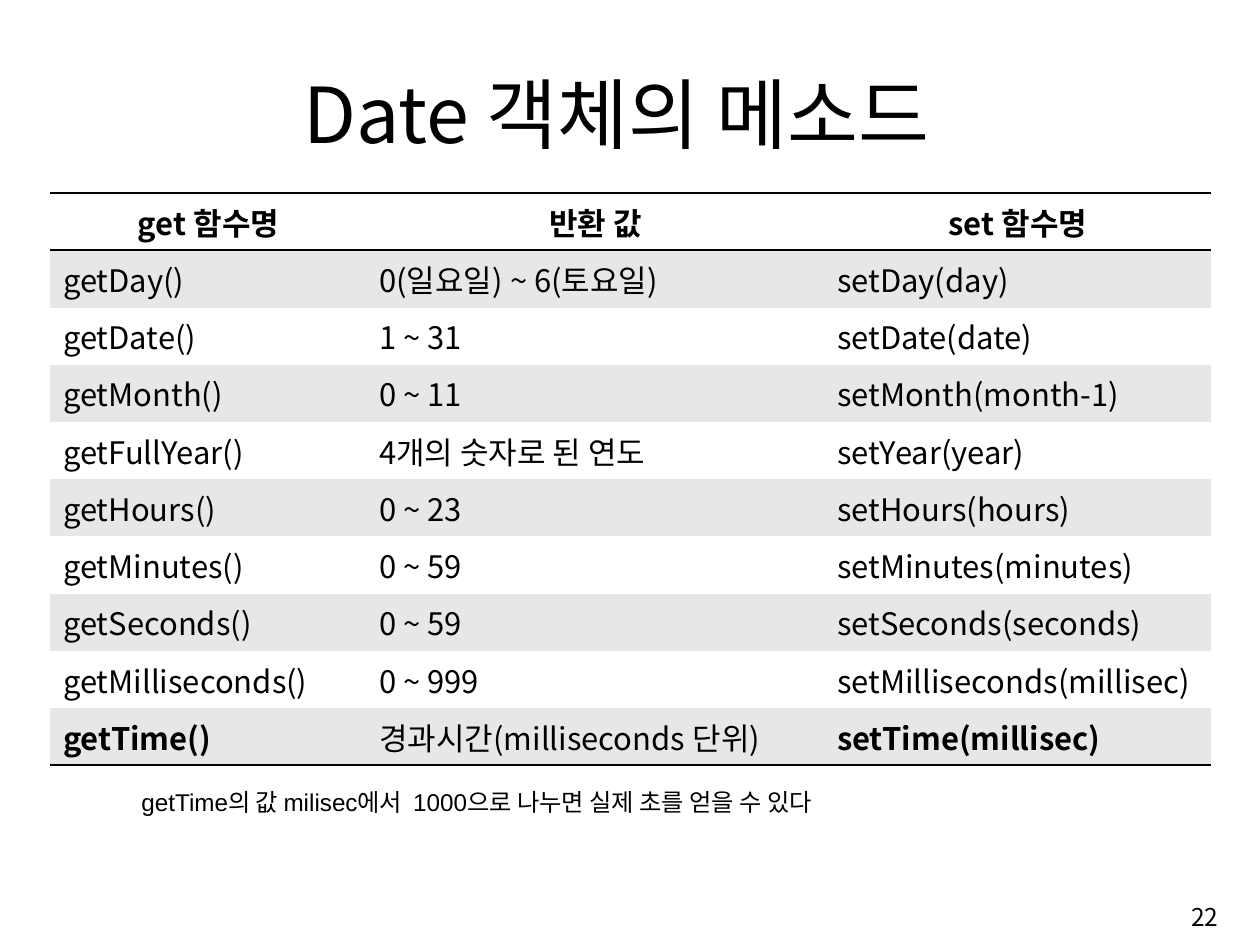
from lxml import etree
from pptx import Presentation
from pptx import util as u
from pptx.dml.color import RGBColor
from pptx.enum import text as t
from pptx.oxml.ns import qn

WIDE, HIGH = 12.99, 9.74
SANS = "Noto Sans CJK KR"
BLACK, WHITE, GREY = "000000", "FFFFFF", "E7E7E7"
LEFT, MID, RIGHT = t.PP_ALIGN.LEFT, t.PP_ALIGN.CENTER, t.PP_ALIGN.RIGHT
PLAIN = "{2D5ABB26-0587-4C30-8999-92F81FD0307C}"  # table style without grid

COLS = [3.26, 4.72, 3.99]
ROW = 0.59
ROWS = [
    ("get 함수명", "반환 값", "set 함수명"),
    ("getDay()", "0(일요일) ~ 6(토요일)", "setDay(day)"),
    ("getDate()", "1 ~ 31", "setDate(date)"),
    ("getMonth()", "0 ~ 11", "setMonth(month-1)"),
    ("getFullYear()", "4개의 숫자로 된 연도", "setYear(year)"),
    ("getHours()", "0 ~ 23", "setHours(hours)"),
    ("getMinutes()", "0 ~ 59", "setMinutes(minutes)"),
    ("getSeconds()", "0 ~ 59", "setSeconds(seconds)"),
    ("getMilliseconds()", "0 ~ 999", "setMilliseconds(millisec)"),
    ("getTime()", "경과시간(milliseconds 단위)", "setTime(millisec)"),
]


def paint(color, value):
    color.rgb = RGBColor.from_string(value)


def write(frame, words, size, align=LEFT, face=SANS, bold=False):
    frame.text = words
    para = frame.paragraphs[0]
    para.alignment = align
    font = para.font
    font.size, font.name, font.bold = u.Pt(size), face, bold
    paint(font.color, BLACK)
    # East Asian face for the Korean letters
    props = para._p.pPr.find(qn("a:defRPr"))
    latin = props.find(qn("a:latin"))
    asian = etree.Element(qn("a:ea"), typeface=SANS)
    latin.addnext(asian)


def place(shape, left, top, width, height):
    shape.left, shape.top = u.Inches(left), u.Inches(top)
    shape.width, shape.height = u.Inches(width), u.Inches(height)


def label(slide, box, words, size, anchor, **style):
    shape = slide.shapes.add_textbox(*map(u.Inches, box))
    frame = shape.text_frame
    frame.word_wrap = True
    frame.vertical_anchor = anchor
    write(frame, words, size, **style)


def rule(cell, side):
    line = etree.SubElement(cell._tc.get_or_add_tcPr(), qn("a:" + side), w=str(u.Pt(2)))
    fill = etree.SubElement(line, qn("a:solidFill"))
    etree.SubElement(fill, qn("a:srgbClr"), val=BLACK)


def methods(slide, left, top):
    box = map(u.Inches, (left, top, sum(COLS), ROW * len(ROWS)))
    frame = slide.shapes.add_table(len(ROWS), len(COLS), *box)
    table = frame.table
    table.first_row = table.horz_banding = False
    table._tbl.tblPr.find(qn("a:tableStyleId")).text = PLAIN
    for col, width in zip(table.columns, COLS):
        col.width = u.Inches(width)
    last = len(ROWS) - 1
    for r, row in enumerate(ROWS):
        table.rows[r].height = u.Inches(ROW)
        for c, words in enumerate(row):
            cell = table.cell(r, c)
            cell.vertical_anchor = t.MSO_ANCHOR.MIDDLE
            cell.margin_left = cell.margin_right = u.Inches(0.13)
            cell.margin_top = cell.margin_bottom = u.Inches(0.06)
            if r == 0:
                rule(cell, "lnT")
            if r in (0, last):
                rule(cell, "lnB")
            cell.fill.solid()
            paint(cell.fill.fore_color, GREY if r % 2 else WHITE)
            bold = r == 0 or (r == last and c != 1)
            write(cell.text_frame, words, 23, LEFT if r else MID, bold=bold)


def main():
    deck = Presentation()
    deck.slide_width, deck.slide_height = u.Inches(WIDE), u.Inches(HIGH)
    slide = deck.slides.add_slide(deck.slide_layouts[5])

    # Title
    title = slide.shapes.title
    place(title, 1.05, 0.61, 10.61, 1.08)
    frame = title.text_frame
    frame.auto_size = t.MSO_AUTO_SIZE.NONE
    frame.vertical_anchor = t.MSO_ANCHOR.BOTTOM
    write(frame, "Date 객체의 메소드", 57.2, MID)

    # Method table
    methods(slide, 0.52, 1.99)

    # Page number and remark
    label(slide, (9.98, 9.15, 2.68, 0.6), "22", 18.2, t.MSO_ANCHOR.MIDDLE, align=RIGHT)
    label(slide, (1.36, 8.07, 10.83, 0.4),
          "getTime의 값 milisec에서  1000으로 나누면 실제 초를 얻을 수 있다",
          18, t.MSO_ANCHOR.TOP, face="Arial")

    deck.save("out.pptx")


if __name__ == "__main__":
    main()
